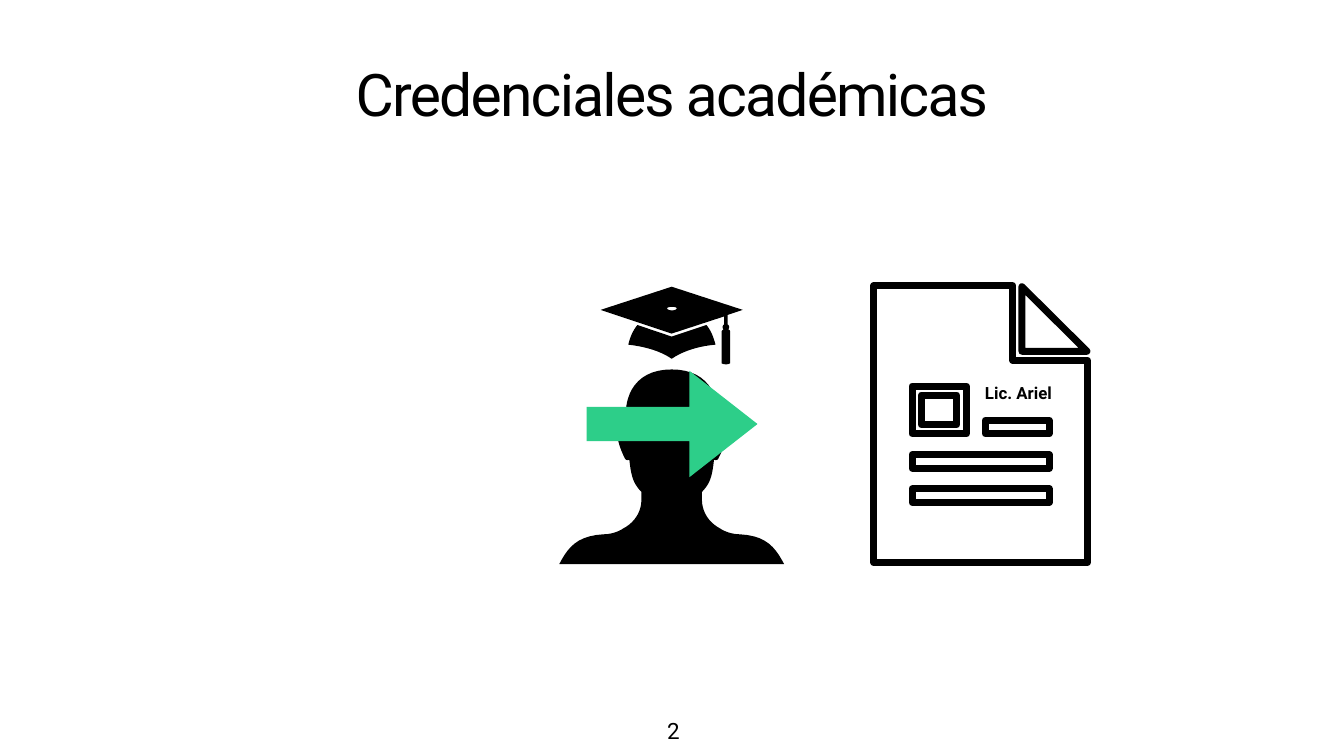
from pptx import Presentation
from pptx.dml.color import RGBColor
from pptx.enum.shapes import MSO_SHAPE
from pptx.enum.text import MSO_ANCHOR, PP_ALIGN
from pptx.util import Cm, Pt

BLACK = RGBColor(0x00, 0x00, 0x00)
WHITE = RGBColor(0xFF, 0xFF, 0xFF)
GREEN = RGBColor(0x2D, 0xCE, 0x89)
FONT = "Roboto"
CURVE_STEPS = 10

HEAD_GRID = 446
HEAD_LEFT_HALF = [
    (223, 0),
    (174, 0, 146, 24, 136, 59),
    (131, 76, 131, 96, 132, 117),
    (129, 117, 126, 117, 123, 117),
    (107, 118, 119, 155, 130, 176),
    (132, 181, 137, 180, 139, 179),
    (143, 216, 148, 227, 163, 243),
    (163, 260),
    (162, 284, 149, 304, 126, 316),
    (125, 317, 123, 318, 121, 319),
    (111, 324, 99, 327, 88, 327),
    (34, 330, 17, 354, 0, 386),
]

CAP_GRID = 282
CAP_BOARD = [
    (141, 0), (0, 46), (141, 93), (245, 59), (245, 75),
    (243, 76, 242, 78, 242, 80),
    (242, 82, 243, 84, 244, 85),
    (242, 86, 240, 87, 240, 90),
    (240, 152),
    (242, 153, 245, 154, 249, 154),
    (252, 154, 255, 153, 257, 152),
    (257, 89),
    (257, 87, 255, 85, 253, 85),
    (254, 84, 255, 82, 255, 80),
    (255, 78, 254, 76, 252, 75),
    (252, 56), (282, 46),
]
CAP_BUTTON = [
    (142, 40),
    (147, 40, 151, 41, 151, 43),
    (151, 45, 147, 47, 142, 47),
    (136, 47, 132, 45, 132, 43),
    (132, 41, 136, 40, 142, 40),
]
CAP_CROWN = [
    (210, 76), (141, 99), (73, 76),
    (64, 87, 58, 101, 55, 115),
    (91, 119, 121, 129, 141, 143),
    (161, 129, 192, 118, 228, 115),
    (224, 100, 219, 87, 210, 76),
]

DOCUMENT_GRID = 424
PAGE = [(0, 0), (276, 0), (276, 148), (424, 148), (424, 549), (0, 549)]
FOLD = [(294, 2), (294, 130), (423, 130)]


def trace(steps):
    points = []
    for step in steps:
        if len(step) == 2:
            points.append(step)
            continue
        start = points[-1]
        controls = [start, step[0:2], step[2:4], step[4:6]]
        for i in range(1, CURVE_STEPS + 1):
            t = i / CURVE_STEPS
            weights = [(1 - t) ** 3, 3 * t * (1 - t) ** 2, 3 * t * t * (1 - t), t ** 3]
            points.append(tuple(
                sum(w * c[axis] for w, c in zip(weights, controls)) for axis in (0, 1)
            ))
    return points


def rectangle(left, top, right, bottom):
    return [(left, top), (right, top), (right, bottom), (left, bottom)]


def add_outline(slide, contours, left, top, width, grid, fill):
    scale = Cm(width) / grid
    scaled = [[(x * scale, y * scale) for x, y in contour] for contour in contours]
    builder = slide.shapes.build_freeform(*scaled[0][0])
    for number, contour in enumerate(scaled):
        if number:
            builder.move_to(*contour[0])
        builder.add_line_segments(contour[1:], close=True)
    outline = builder.convert_to_shape(Cm(left), Cm(top))
    outline.shadow.inherit = False
    outline.fill.solid()
    outline.fill.fore_color.rgb = fill
    outline.line.fill.background()
    return outline


def add_solid(slide, kind, left, top, width, height, fill):
    solid = slide.shapes.add_shape(kind, Cm(left), Cm(top), Cm(width), Cm(height))
    solid.shadow.inherit = False
    solid.fill.solid()
    solid.fill.fore_color.rgb = fill
    solid.line.fill.background()
    return solid


def write(holder, text, size, anchor, wrap=False, bold=False):
    frame = holder.text_frame
    frame.word_wrap = wrap
    frame.vertical_anchor = anchor
    frame.margin_left = frame.margin_right = Cm(0.15)
    frame.margin_top = frame.margin_bottom = Cm(0.15)
    paragraph = frame.paragraphs[0]
    paragraph.alignment = PP_ALIGN.CENTER
    run = paragraph.add_run()
    run.text = text
    run.font.name = FONT
    run.font.size = Pt(size)
    run.font.bold = bold
    run.font.color.rgb = BLACK
    return paragraph


def add_title(slide, left, top, width, height):
    title = slide.shapes.add_textbox(Cm(left), Cm(top), Cm(width), Cm(height))
    heading = write(title, "Credenciales académicas", 84, MSO_ANCHOR.BOTTOM, wrap=True)
    heading.line_spacing = 0.8
    heading.runs[0].font._element.set("spc", "-250")


def add_credential(slide, left, top, width):
    seal = [rectangle(76, 199, 184, 294), rectangle(94, 217, 165, 276)]
    text_lines = [
        rectangle(start, 267 + 68 * row, 348, 294 + 68 * row)
        for row, start in enumerate((221, 76, 76))
    ]
    document = add_outline(
        slide, [PAGE, FOLD, *seal, *text_lines], left, top, width, DOCUMENT_GRID, WHITE
    )
    document.line.color.rgb = BLACK
    document.line.width = Pt(10)
    holder_name = add_solid(
        slide, MSO_SHAPE.RECTANGLE, left + 5.31, top + 4.73, 3.96, 1.37, WHITE
    )
    write(holder_name, "Lic. Ariel", 24, MSO_ANCHOR.MIDDLE, bold=True)


def add_graduate(slide, left, top, width):
    left_half = trace(HEAD_LEFT_HALF)
    right_half = [(HEAD_GRID - x, y) for x, y in reversed(left_half[1:])]
    add_outline(slide, [left_half + right_half], left, top + 4.17, width, HEAD_GRID, BLACK)
    cap = [trace(part) for part in (CAP_BOARD, CAP_BUTTON, CAP_CROWN)]
    cap_width = width * CAP_GRID / HEAD_GRID
    add_outline(slide, cap, left + (width - cap_width) / 2, top, cap_width, CAP_GRID, BLACK)


def add_arrow(slide, left, top, width, height):
    arrow = add_solid(slide, MSO_SHAPE.RIGHT_ARROW, left, top, width, height, GREEN)
    arrow.adjustments[0] = 0.32
    arrow.adjustments[1] = 0.64


def add_page_number(slide, left, top, width, height):
    page_number = slide.shapes.add_textbox(Cm(left), Cm(top), Cm(width), Cm(height))
    write(page_number, "2", 32, MSO_ANCHOR.BOTTOM)


def main():
    deck = Presentation()
    deck.slide_width = Cm(67.74)
    deck.slide_height = Cm(38.1)
    slide = deck.slides.add_slide(deck.slide_layouts[6])
    add_credential(slide, 44.04, 14.4, 10.77)
    add_title(slide, 3.53, 2.26, 60.68, 4.32)
    add_graduate(slide, 28.19, 14.45, 11.33)
    add_arrow(slide, 29.57, 18.69, 8.61, 5.36)
    add_page_number(slide, 33.48, 35.89, 0.79, 1.75)
    deck.save("out.pptx")


if __name__ == "__main__":
    main()
